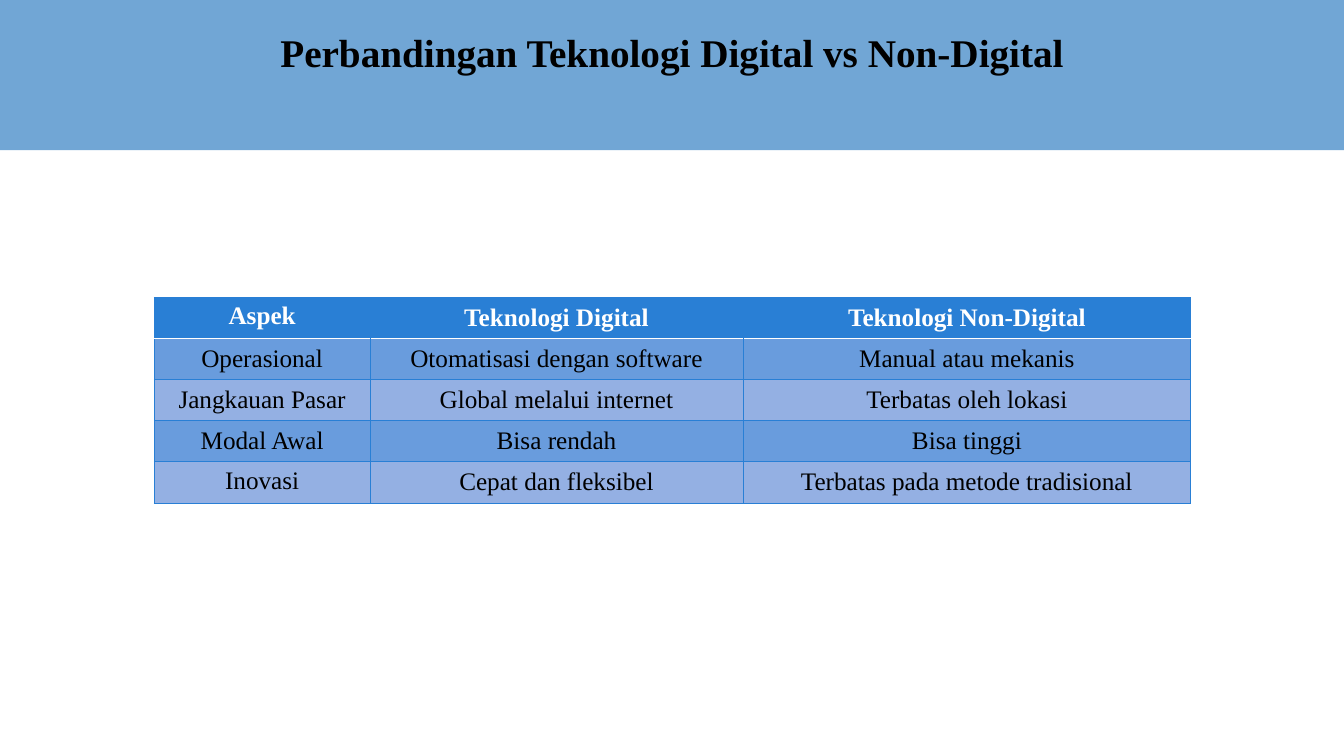
from dataclasses import dataclass

from lxml import etree
from pptx import Presentation
from pptx.dml.color import RGBColor
from pptx.enum.shapes import MSO_SHAPE
from pptx.enum.text import MSO_ANCHOR, PP_ALIGN
from pptx.oxml.ns import qn
from pptx.util import Inches, Pt

RECT = MSO_SHAPE.RECTANGLE
CENTER = PP_ALIGN.CENTER
TOP, MIDDLE = MSO_ANCHOR.TOP, MSO_ANCHOR.MIDDLE
WIDE, HIGH = Inches(13.33), Inches(7.5)
FACE = "Times New Roman"
BLUE, WHITE, BLACK = "297FD5", "FFFFFF", "000000"
BANDS = ("699CDD", "94B0E3")
COLS = (16.05, 27.76, 33.31)
ROW = 5.44
ROWS = (
    ("Aspek", "Teknologi Digital", "Teknologi Non-Digital"),
    ("Operasional", "Otomatisasi dengan software", "Manual atau mekanis"),
    ("Jangkauan Pasar", "Global melalui internet", "Terbatas oleh lokasi"),
    ("Modal Awal", "Bisa rendah", "Bisa tinggi"),
    ("Inovasi", "Cepat dan fleksibel", "Terbatas pada metode tradisional"),
)


@dataclass
class Box:
    """A frame in percent of the slide's width and height."""
    left: float
    top: float
    width: float
    height: float

    def frame(self) -> tuple:
        return across(self.left), down(self.top), across(self.width), down(self.height)


@dataclass
class Edge:
    color: str
    points: float


THIN, RULE = Edge(BLUE, 0.5), Edge(WHITE, 1)
BANNER = Box(0, 0, 100, 19.87)
TITLE = Box(0, 3.07, 100, 7.6)
GRID = Box(11.48, 39.33, sum(COLS), ROW * len(ROWS))


def across(share: float) -> int:
    return round(WIDE * share / 100)


def down(share: float) -> int:
    return round(HIGH * share / 100)


def paint(fill, color: str) -> None:
    fill.solid()
    fill.fore_color.rgb = RGBColor.from_string(color)


def write(frame, text: str, color: str, size: float, bold: bool) -> None:
    para = frame.paragraphs[0]
    para.alignment = CENTER
    run = para.add_run()
    run.text = text
    style = {"name": FACE, "size": Pt(size), "bold": bold}
    for key, value in style.items():
        setattr(run.font, key, value)
    run.font.color.rgb = RGBColor.from_string(color)


def border(cell, edges: dict) -> None:
    """Draw the cell's sides, leaving a side with no edge blank."""
    props = cell._tc.get_or_add_tcPr()
    for side in "LRTB":
        edge = edges[side]
        line = etree.SubElement(props, qn(f"a:ln{side}"))
        if edge is None:
            etree.SubElement(line, qn("a:noFill"))
            continue
        line.set("w", str(Pt(edge.points)))
        fill = etree.SubElement(line, qn("a:solidFill"))
        etree.SubElement(fill, qn("a:srgbClr"), val=edge.color)


def add_banner(slide) -> None:
    shape = slide.shapes.add_shape(RECT, *BANNER.frame())
    shape.shadow.inherit = False
    paint(shape.fill, "629DD1")
    tint = shape._element.spPr.find(f".//{qn('a:srgbClr')}")
    etree.SubElement(tint, qn("a:alpha"), val="90000")
    shape.line.fill.background()


def add_title(slide) -> None:
    frame = slide.shapes.add_textbox(*TITLE.frame()).text_frame
    frame.word_wrap = True
    write(frame, "Perbandingan Teknologi Digital vs Non-Digital", BLACK, 28, True)


def add_grid(slide) -> None:
    table = slide.shapes.add_table(len(ROWS), len(COLS), *GRID.frame()).table
    table.first_row = table.horz_banding = False
    for col, share in zip(table.columns, COLS):
        col.width = across(share)
    last = len(COLS) - 1
    for r, texts in enumerate(ROWS):
        table.rows[r].height = down(ROW)
        head = r == 0
        for c, text in enumerate(texts):
            cell = table.cell(r, c)
            edges = {
                "L": None if head and c > 0 else THIN,
                "R": None if head and c < last else THIN,
                "T": RULE if r == 1 else THIN,
                "B": RULE if head else THIN,
            }
            border(cell, edges)
            paint(cell.fill, BLUE if head else BANDS[(r - 1) % 2])
            corner = c == 0 and r in (0, len(ROWS) - 1)
            cell.vertical_anchor = TOP if corner else MIDDLE
            write(cell.text_frame, text, WHITE if head else BLACK, 18, head)


def main() -> None:
    deck = Presentation()
    deck.slide_width, deck.slide_height = WIDE, HIGH
    slide = deck.slides.add_slide(deck.slide_layouts[6])
    add_banner(slide)
    add_title(slide)
    add_grid(slide)
    deck.save("out.pptx")


if __name__ == "__main__":
    main()
